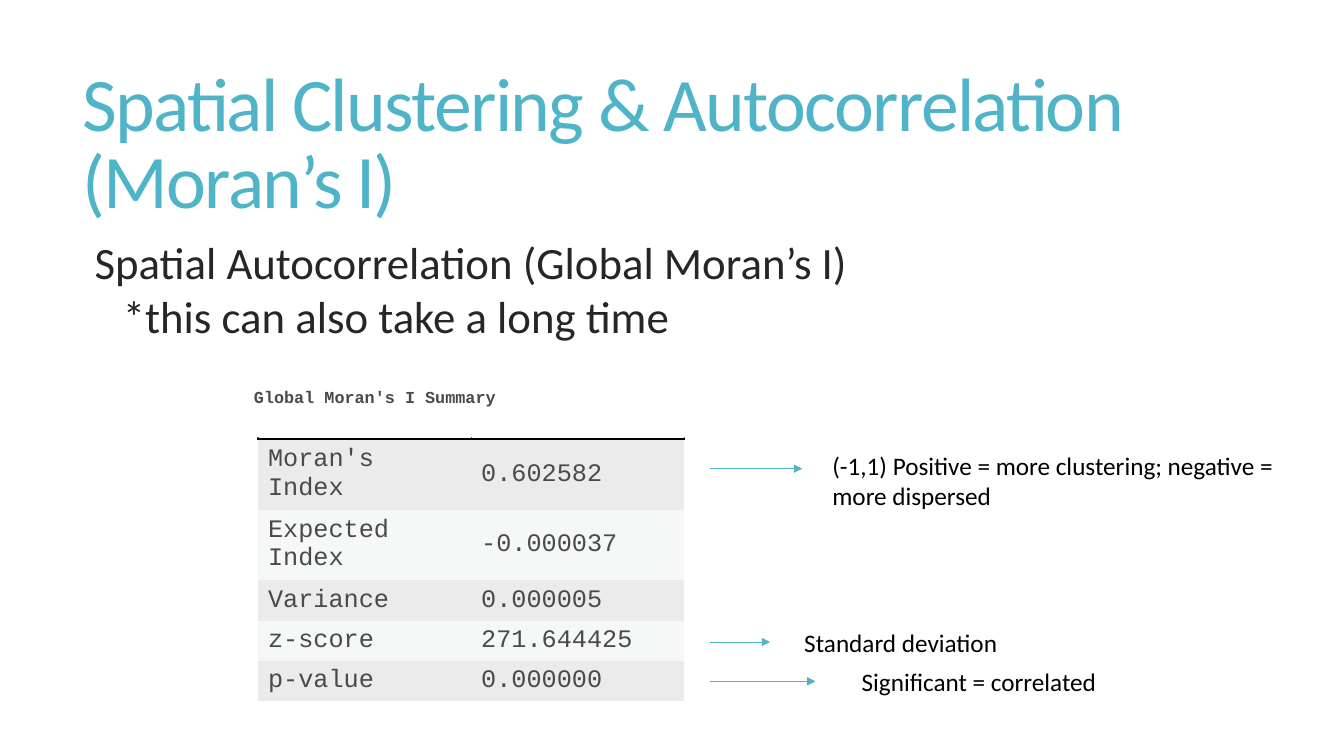
from lxml import etree
from pptx import Presentation
from pptx.dml.color import RGBColor
from pptx.enum.shapes import MSO_CONNECTOR, MSO_SHAPE
from pptx.enum.text import MSO_ANCHOR
from pptx.oxml.ns import qn
from pptx.util import Pt

TOP, MIDDLE = MSO_ANCHOR.TOP, MSO_ANCHOR.MIDDLE
RECT, STRAIGHT = MSO_SHAPE.RECTANGLE, MSO_CONNECTOR.STRAIGHT
SANS, MONO = "Calibri", "Courier New"
COLORS = {
    "accent": "50B4C8", "body": "262626", "cell": "4A4A4A", "black": "000000",
    "white": "FFFFFF", "band_odd": "EBEBEB", "band_even": "F6F8F8",
}

TITLE = "Spatial Clustering & Autocorrelation (Moran’s I)"
BODY = [
    {"text": "Spatial Autocorrelation (Global Moran’s I)", "indent": 7.2},
    {"text": "*this can also take a long time", "indent": 27.4, "before": 6},
]
SUMMARY_TITLE = "Global Moran's I Summary"
SUMMARY = [
    ("Moran's Index", "0.602582", 48.4),
    ("Expected Index", "-0.000037", 48.4),
    ("Variance", "0.000005", 27.8),
    ("z-score", "271.644425", 27.8),
    ("p-value", "0.000000", 27.8),
]
NOTES = [
    {"text": "(-1,1) Positive = more clustering; negative = more dispersed",
     "box": (587.5, 318.2, 355.7, 51), "arrow_y": 334.8, "arrow_end": 573.1},
    {"text": "Standard deviation",
     "box": (567.4, 444.2, 197.3, 29), "arrow_y": 458.6, "arrow_end": 550.1},
    {"text": "Significant = correlated",
     "box": (608.4, 472.3, 256.3, 29), "arrow_y": 486.7, "arrow_end": 582.5},
]
ARROW_START = 506.9
TABLE_LEFT, TABLE_TOP, COLUMN_WIDTH, HEADER_HEIGHT = 184.3, 284.4, 152.2, 29.2


def rgb(name):
    return RGBColor.from_string(COLORS[name])


def write(p, text, size=18, font=SANS, color="black", bold=False,
          spacing=None, before=None, indent=0, tracking=0):
    if indent:
        p._p.get_or_add_pPr().set("marL", str(Pt(indent)))
    if spacing:
        p.line_spacing = spacing
    if before:
        p.space_before = Pt(before)
    r = p.add_run()
    r.text = text
    r.font.size, r.font.name, r.font.bold = Pt(size), font, bold
    r.font.color.rgb = rgb(color)
    if tracking:
        r._r.get_or_add_rPr().set("spc", str(round(tracking * 100)))


def add_box(s, box, anchor=TOP):
    tf = s.shapes.add_textbox(*map(Pt, box)).text_frame
    tf.word_wrap = True
    tf.vertical_anchor = anchor
    return tf


def add_arrow(s, x1, x2, y):
    line = s.shapes.add_connector(STRAIGHT, Pt(x1), Pt(y), Pt(x2), Pt(y))
    line.line.color.rgb = rgb("accent")
    line.line.width = Pt(0.75)
    etree.SubElement(line.line._get_or_add_ln(), qn("a:tailEnd"), type="triangle")
    etree.SubElement(line._element.spPr, qn("a:effectLst"))


def style_cell(cell, fill, black_sides):
    cell.vertical_anchor = MIDDLE
    tcPr = cell._tc.get_or_add_tcPr()
    for side in "LRTB":
        ln = etree.SubElement(tcPr, qn("a:ln" + side), w=str(Pt(1)))
        if side in black_sides:
            solid = etree.SubElement(ln, qn("a:solidFill"))
            etree.SubElement(solid, qn("a:srgbClr"), val=COLORS["black"])
        else:
            etree.SubElement(ln, qn("a:noFill"))
    cell.fill.solid()
    cell.fill.fore_color.rgb = rgb(fill)


def add_summary(s):
    heights = [HEADER_HEIGHT] + [row[2] for row in SUMMARY]
    table = s.shapes.add_table(
        len(heights), 2, Pt(TABLE_LEFT), Pt(TABLE_TOP),
        Pt(2 * COLUMN_WIDTH), Pt(sum(heights))).table
    table.first_row = table.horz_banding = False
    for column in table.columns:
        column.width = Pt(COLUMN_WIDTH)
    for row, height in zip(table.rows, heights):
        row.height = Pt(height)
    for cell in table.rows[0].cells:
        style_cell(cell, "white", "LRB")
        cell.text_frame.paragraphs[0].font.size = Pt(18)
    for i, (label, value, _) in enumerate(SUMMARY, 1):
        for cell, text in zip(table.rows[i].cells, (label, value)):
            style_cell(cell, "band_odd" if i % 2 else "band_even", "T" if i == 1 else "")
            write(cell.text_frame.paragraphs[0], text, font=MONO, color="cell")


def add_summary_title(s):
    sp = s.shapes.add_shape(RECT, Pt(181.4), Pt(276.5), Pt(310.3), Pt(36))
    sp.shadow.inherit = False
    sp.fill.solid()
    sp.fill.fore_color.rgb = rgb("white")
    sp.line.fill.background()
    tf = sp.text_frame
    tf.word_wrap = True
    tf.vertical_anchor = TOP
    tf.margin_left = tf.margin_right = tf.margin_top = tf.margin_bottom = 0
    p = tf.paragraphs[0]
    p.alignment = 1
    write(p, SUMMARY_TITLE, size=12, font=MONO, color="cell", bold=True)


def main():
    prs = Presentation()
    prs.slide_width, prs.slide_height = Pt(960), Pt(540)
    s = prs.slides.add_slide(prs.slide_layouts[6])

    tf = add_box(s, (51.8, 39.6, 848.2, 130.3), MIDDLE)
    write(tf.paragraphs[0], TITLE, size=54, color="accent", spacing=0.85, tracking=-1.2)

    tf = add_box(s, (53.3, 169.9, 846.7, 296.6))
    for i, item in enumerate(BODY):
        p = tf.add_paragraph() if i else tf.paragraphs[0]
        write(p, size=32, color="body", spacing=0.85, **item)

    add_summary(s)
    add_summary_title(s)
    for note in NOTES:
        add_arrow(s, ARROW_START, note["arrow_end"], note["arrow_y"])
        write(add_box(s, note["box"]).paragraphs[0], note["text"])
    prs.save("out.pptx")


if __name__ == "__main__":
    main()
